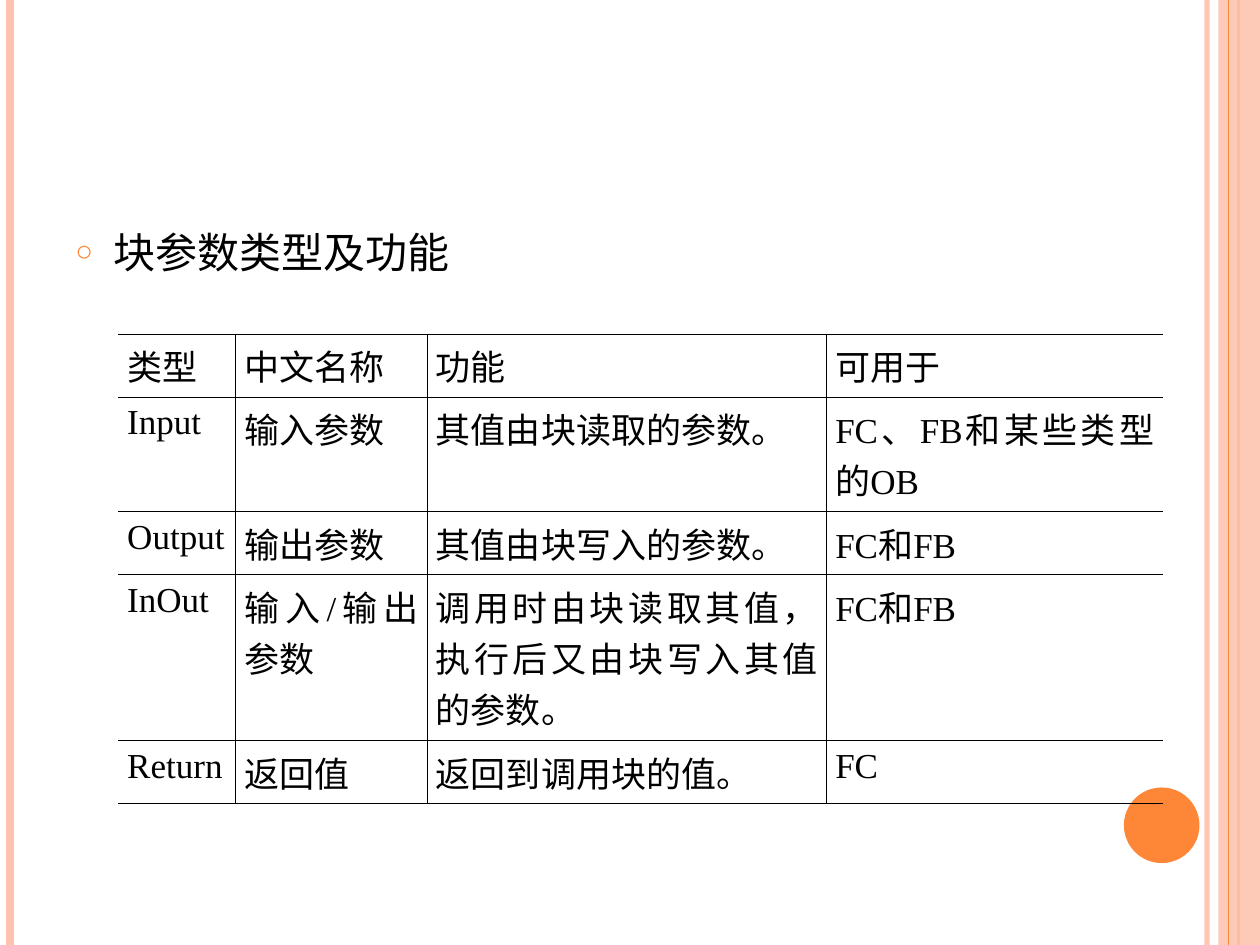
from lxml.etree import SubElement
from pptx import Presentation
from pptx.dml.color import RGBColor
from pptx.enum.shapes import MSO_CONNECTOR, MSO_SHAPE
from pptx.enum.text import PP_ALIGN
from pptx.oxml.ns import qn
from pptx.util import Inches, Pt

ORANGE = RGBColor(0xFE, 0x86, 0x37)
PEACH = RGBColor(0xFE, 0xC3, 0xAE)
BLACK = RGBColor(0, 0, 0)
WIDTH, HEIGHT = 10, 7.5

COLUMNS = [0.93, 1.52, 3.17, 2.67]
ROW_HEIGHTS = [0.5, 0.91, 0.5, 1.32, 0.5]
ROWS = [
    ["类型", "中文名称", "功能", "可用于"],
    ["Input", "输入参数", "其值由块读取的参数。", "FC、FB和某些类型的OB"],
    ["Output", "输出参数", "其值由块写入的参数。", "FC和FB"],
    ["InOut", "输入/输出参数", "调用时由块读取其值，执行后又由块写入其值的参数。", "FC和FB"],
    ["Return", "返回值", "返回到调用块的值。", "FC"],
]


def write(p, text, size, font, color=BLACK, align=None):
    p.alignment = align
    r = p.add_run()
    r.text = text
    r.font.size = Pt(size)
    r.font.name = font
    r.font.color.rgb = color


def set_alpha(fill_parent, percent):
    color = fill_parent.find(".//" + qn("a:srgbClr"))
    SubElement(color, qn("a:alpha"), val=str(percent * 1000))


class SlideBuilder:
    heading_font = "TeX Gyre Schola"
    table_font = "Times New Roman"

    def __init__(self, prs):
        self.s = prs.slides.add_slide(prs.slide_layouts[6])

    def vertical_line(self, x, color, width, alpha=100):
        line = self.s.shapes.add_connector(
            MSO_CONNECTOR.STRAIGHT, Inches(x), 0, Inches(x), Inches(HEIGHT))
        line.line.color.rgb = color
        line.line.width = Pt(width)
        sp_pr = line._element.spPr
        if alpha < 100:
            set_alpha(sp_pr, alpha)
        SubElement(sp_pr, qn("a:effectLst"))

    def shape(self, kind, box, color, alpha=100):
        sp = self.s.shapes.add_shape(kind, *map(Inches, box))
        sp.shadow.inherit = False
        sp.fill.solid()
        sp.fill.fore_color.rgb = color
        sp.line.fill.background()
        if alpha < 100:
            set_alpha(sp._element.spPr, alpha)

    def bullet(self, box, text):
        tf = self.s.shapes.add_textbox(*map(Inches, box)).text_frame
        tf.word_wrap = True
        p = tf.paragraphs[0]
        p_pr = p._p.get_or_add_pPr()
        p_pr.set("marL", str(Inches(0.3)))
        p_pr.set("indent", str(Inches(-0.3)))
        bullet_color = SubElement(p_pr, qn("a:buClr"))
        SubElement(bullet_color, qn("a:srgbClr"), val=str(ORANGE))
        SubElement(p_pr, qn("a:buSzPct"), val="70000")
        SubElement(p_pr, qn("a:buFont"), typeface=self.table_font)
        SubElement(p_pr, qn("a:buChar"), char="○")
        write(p, text, 24, self.heading_font)

    def cell_borders(self, cell, sides):
        tc_pr = cell._tc.get_or_add_tcPr()
        # Borders come before the fill, in the order left, right, top, bottom
        for i, side in enumerate(("lnL", "lnR", "lnT", "lnB")):
            ln = tc_pr.makeelement(qn("a:" + side), {"w": str(Pt(0.45))})
            if side in sides:
                fill = SubElement(ln, qn("a:solidFill"))
                SubElement(fill, qn("a:srgbClr"), val=str(BLACK))
            else:
                SubElement(ln, qn("a:noFill"))
            tc_pr.insert(i, ln)

    def table(self, left, top, columns, heights, rows):
        table = self.s.shapes.add_table(
            len(rows), len(columns), Inches(left), Inches(top),
            Inches(sum(columns)), Inches(sum(heights))).table
        table.first_row = table.horz_banding = False
        for column, width in zip(table.columns, columns):
            column.width = Inches(width)
        for row, height, texts in zip(table.rows, heights, rows):
            row.height = Inches(height)
            for i, (cell, text) in enumerate(zip(row.cells, texts)):
                cell.margin_left = cell.margin_right = Inches(0.07)
                cell.margin_top = cell.margin_bottom = Inches(0.05)
                cell.fill.background()
                # The table is open at its left and right edges
                sides = {"lnT", "lnB"}
                if i > 0:
                    sides.add("lnL")
                if i < len(columns) - 1:
                    sides.add("lnR")
                self.cell_borders(cell, sides)
                write(cell.text_frame.paragraphs[0], text, 20,
                      self.table_font, align=PP_ALIGN.JUSTIFY)


def main():
    prs = Presentation()
    prs.slide_width, prs.slide_height = Inches(WIDTH), Inches(HEIGHT)
    slide = SlideBuilder(prs)

    # Edge stripes and disc
    slide.vertical_line(9.58, PEACH, 3, alpha=93)
    slide.vertical_line(0.08, PEACH, 4.5)
    slide.vertical_line(9.83, ORANGE, 1.5)
    slide.shape(MSO_SHAPE.RECTANGLE, (9.67, 0, 0.33, HEIGHT), PEACH, alpha=87)
    slide.vertical_line(9.75, ORANGE, 0.75)
    slide.shape(MSO_SHAPE.OVAL, (8.92, 6.25, 0.6, 0.6), ORANGE)

    # Heading and parameter table
    slide.bullet((0.5, 1.75, 8.17, 5.33), "块参数类型及功能")
    slide.table(0.94, 2.65, COLUMNS, ROW_HEIGHTS, ROWS)

    prs.save("out.pptx")


if __name__ == "__main__":
    main()
